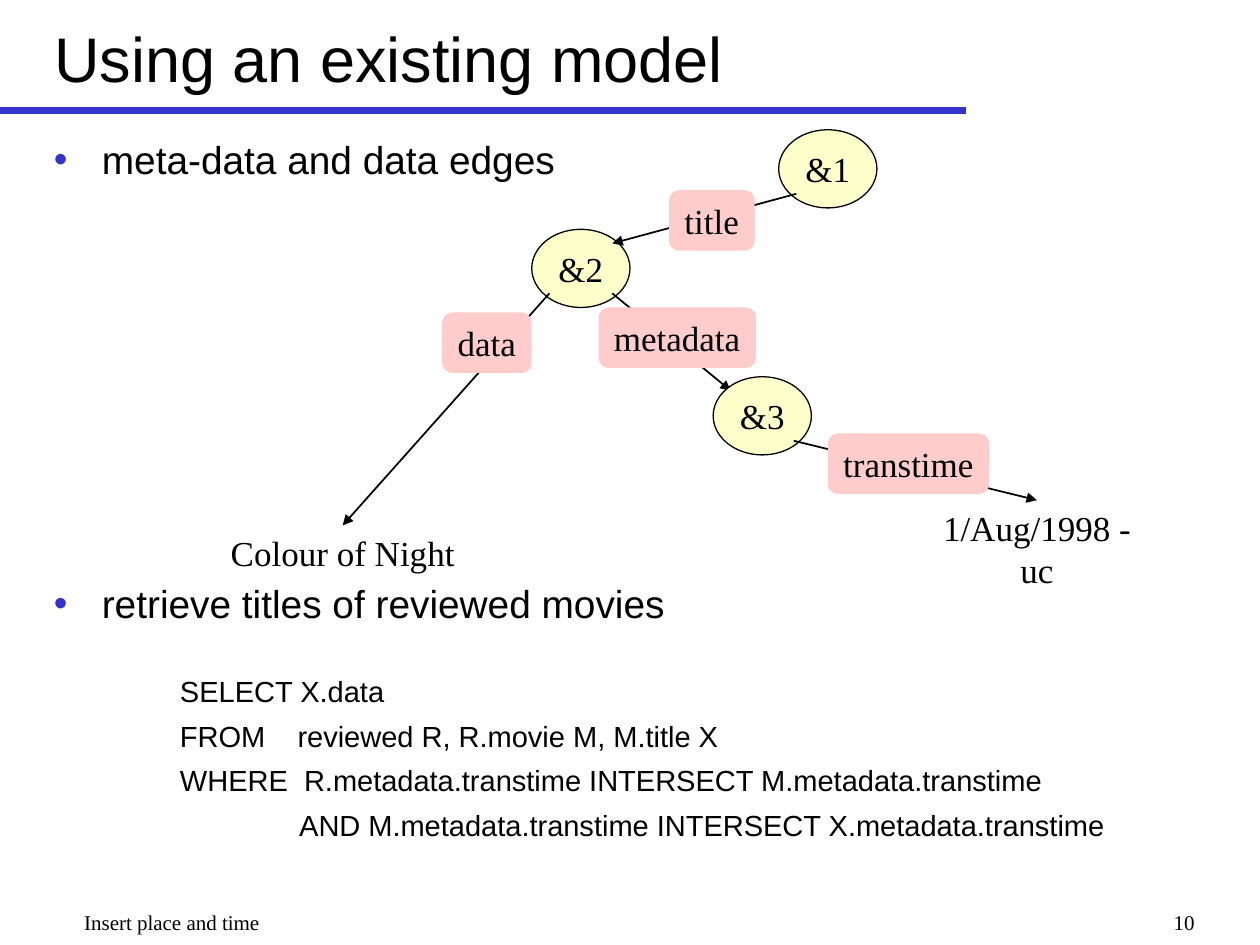
from lxml import etree
from pptx import Presentation
from pptx.dml.color import RGBColor
from pptx.enum.shapes import MSO_CONNECTOR as Connector, MSO_SHAPE as Shape
from pptx.enum.text import MSO_ANCHOR as Anchor, PP_ALIGN as Align
from pptx.oxml.ns import qn
from pptx.util import Inches, Pt

COLORS = {"text": "000000", "accent": "3333CC", "node": "FFFFCC", "label": "FFCCCC"}
SANS, SERIF = "Arial", "Times New Roman"
NODE_W, NODE_H = 0.78, 0.62
LABEL_H, VALUE_H = 0.48, 0.44


def color(name):
    return RGBColor.from_string(COLORS[name])


def box_of(left, top, width, height):
    return [Inches(value) for value in (left, top, width, height)]


def write(para, text, size, font, **formats):
    span = para.add_run()
    span.text = text
    for name, value in {"size": Pt(size), "name": font}.items():
        setattr(span.font, name, value)
    span.font.color.rgb = color("text")
    for name, value in formats.items():
        setattr(para, name, value)


def add_text(page, box, text, size, align, wrap=True):
    frame = page.shapes.add_textbox(*box_of(*box)).text_frame
    frame.word_wrap = wrap
    write(frame.paragraphs[0], text, size, SERIF, alignment=align)
    return frame


def add_line(page, start, end, line_color, width, arrow=False):
    line = page.shapes.add_connector(
        Connector.STRAIGHT, *[Inches(value) for value in (*start, *end)])
    line.line.color.rgb = color(line_color)
    line.line.width = Pt(width)
    if arrow:
        etree.SubElement(line.line._get_or_add_ln(), qn("a:tailEnd"), type="triangle")
    etree.SubElement(line._element.spPr, qn("a:effectLst"))


def add_shape(page, kind, box, text, fill, align):
    shape = page.shapes.add_shape(kind, *box_of(*box))
    shape.shadow.inherit = False
    shape.fill.solid()
    shape.fill.fore_color.rgb = color(fill)
    shape.text_frame.word_wrap = False
    shape.text_frame.vertical_anchor = Anchor.MIDDLE
    write(shape.text_frame.paragraphs[0], text, 20, SERIF, alignment=align)
    return shape


def add_title(page, box, text):
    add_line(page, (0, 0.88), (7.67, 0.88), "accent", 4)
    title = page.shapes.title
    title.left, title.top, title.width, title.height = box_of(*box)
    title.text_frame.vertical_anchor = Anchor.MIDDLE
    write(title.text_frame.paragraphs[0], text, 36, SANS, alignment=Align.LEFT)


def set_indent(para, margin, indent, bullet=False):
    props = para._p.get_or_add_pPr()
    props.set("marL", str(Inches(margin)))
    props.set("indent", str(Inches(indent)))
    if bullet:
        bullet_color = etree.SubElement(props, qn("a:buClr"))
        etree.SubElement(bullet_color, qn("a:srgbClr"), val=COLORS["accent"])
        etree.SubElement(props, qn("a:buFont"), typeface=SANS)
        etree.SubElement(props, qn("a:buChar"), char="•")


def add_body(page, box):
    frame = page.shapes.add_textbox(*box_of(*box)).text_frame
    frame.word_wrap = True
    # Bullets: the second leaves room for the graph
    bullets = [("meta-data and data edges", 0), ("retrieve titles of reviewed movies", 227)]
    for text, gap in bullets:
        para = frame.add_paragraph() if gap else frame.paragraphs[0]
        set_indent(para, 0.38, -0.38, bullet=True)
        write(para, text, 22.2, SANS, space_before=Pt(gap))
    # Query
    query = [
        "SELECT X.data",
        "FROM    reviewed R, R.movie M, M.title X",
        "WHERE  R.metadata.transtime INTERSECT M.metadata.transtime",
        "               AND M.metadata.transtime INTERSECT X.metadata.transtime",
    ]
    for row, text in enumerate(query):
        para = frame.add_paragraph()
        set_indent(para, 1.25, -0.25)
        write(para, text, 16.6, SANS, space_before=Pt(5.5 if row else 27))


def add_graph(page, left, top):
    nodes = {"&1": (4.45, 0), "&2": (2.49, 0.79), "&3": (3.93, 1.96)}
    values = {"Colour of Night": (0, 3.14, 1.98), "1/Aug/1998 - uc": (5.49, 2.94, 2.02)}
    labels = {"title": (3.58, 0.48, 0.68), "data": (1.78, 1.45, 0.71),
              "metadata": (3.02, 1.41, 1.25), "transtime": (4.84, 2.41, 1.28)}

    def corner(name, across, down):
        x, y = nodes[name]
        return left + x + NODE_W * across, top + y + NODE_H * down

    def top_middle(name):
        x, y, width = values[name]
        return left + x + width / 2, top + y

    def add_node(name):
        x, y = nodes[name]
        node = add_shape(page, Shape.OVAL, (left + x, top + y, NODE_W, NODE_H),
                         name, "node", Align.CENTER)
        node.line.color.rgb = color("text")
        node.line.width = Pt(0.75)

    def add_edge(start, end):
        add_line(page, start, end, "text", 1, arrow=True)

    # Nodes and edges, back to front
    near, far = 0.18, 0.82
    add_node("&1")
    add_node("&2")
    add_edge(corner("&2", far, far), corner("&3", near, near))
    add_edge(corner("&1", near, far), corner("&2", far, near))
    add_edge(corner("&2", near, far), top_middle("Colour of Night"))
    add_node("&3")
    add_edge(corner("&3", far, far), top_middle("1/Aug/1998 - uc"))

    # Edge labels
    for text, (x, y, width) in labels.items():
        label = add_shape(page, Shape.ROUNDED_RECTANGLE,
                          (left + x, top + y, width, LABEL_H), text, "label", Align.LEFT)
        label.adjustments[0] = 0.17
        label.line.fill.background()

    # Leaf values
    for text, (x, y, width) in values.items():
        add_text(page, (left + x, top + y, width, VALUE_H), text, 20, Align.CENTER, wrap=False)


def add_footer(page, top):
    place = add_text(page, (0.33, top, 6.63, 0.25), "Insert place and time", 12, Align.LEFT)
    set_indent(place.paragraphs[0], 0.24, 0)
    add_text(page, (7.5, top, 2.08, 0.25), "10", 12, Align.RIGHT)


def main():
    deck = Presentation()
    deck.slide_width, deck.slide_height = Inches(10), Inches(7.5)
    page = deck.slides.add_slide(deck.slide_layouts[5])
    add_title(page, (0.33, 0.04, 7.45, 0.83), "Using an existing model")
    add_body(page, (0.33, 1.03, 9.25, 5.89))
    add_graph(page, 1.73, 1.03)
    add_footer(page, 7.17)
    deck.save("out.pptx")


if __name__ == "__main__":
    main()
